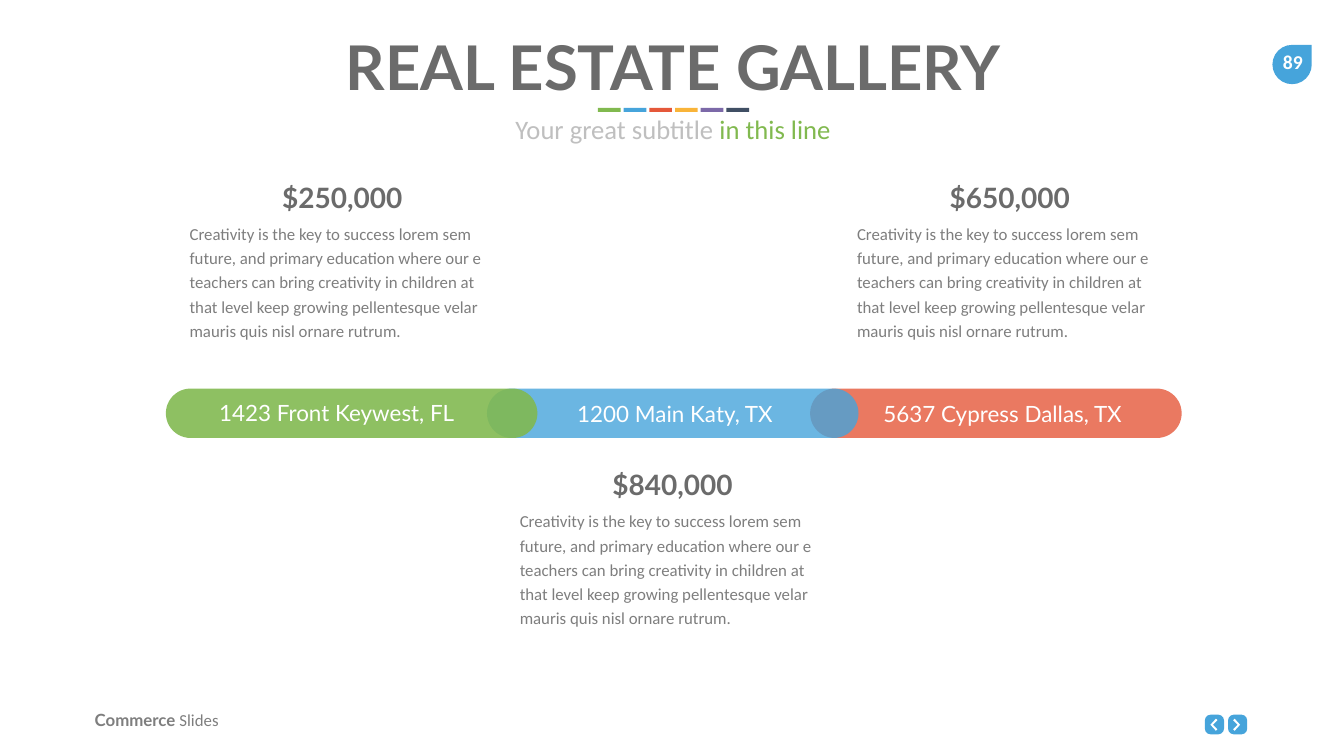
"""Builds the real estate gallery slide with three linked listings."""
from lxml import etree
from pptx import Presentation
from pptx.dml.color import RGBColor
from pptx.enum.shapes import MSO_SHAPE
from pptx.enum.text import MSO_ANCHOR, MSO_AUTO_SIZE, PP_ALIGN
from pptx.oxml.ns import qn
from pptx.util import Inches, Pt

RECT, ROUND, TEAR = MSO_SHAPE.RECTANGLE, MSO_SHAPE.ROUNDED_RECTANGLE, MSO_SHAPE.TEAR
LEFT, CENTER = PP_ALIGN.LEFT, PP_ALIGN.CENTER
TOP, MIDDLE = MSO_ANCHOR.TOP, MSO_ANCHOR.MIDDLE
GROW, FIXED = MSO_AUTO_SIZE.SHAPE_TO_FIT_TEXT, MSO_AUTO_SIZE.NONE


class Theme:
    green, blue, red = "81B94F", "46A4DB", "E5583A"
    gold, purple, navy = "F9B439", "7C69A8", "404F64"
    dark, gray, pale, white = "6B6B6B", "7E7E7E", "BFBFBF", "FFFFFF"
    head, body = "Lato", "Calibri"
    title, price, sub, label, page, copy = 88, 40, 38, 32, 28, 24


def paint(shape, color, alpha=100):
    shape.shadow.inherit = False
    shape.line.fill.background()
    shape.fill.solid()
    shape.fill.fore_color.rgb = RGBColor.from_string(color)
    if alpha < 100:
        tone = shape._element.spPr.find(".//" + qn("a:srgbClr"))
        etree.SubElement(tone, qn("a:alpha"), val=str(alpha * 1000))


def write(box, runs, align=CENTER, anchor=TOP, inset=(0.1, 0.05), wrap=True, size=GROW, space=None):
    frame = slide.shapes.add_textbox(*map(Inches, box)).text_frame
    frame.word_wrap, frame.auto_size, frame.vertical_anchor = wrap, size, anchor
    frame.margin_left = frame.margin_right = Inches(inset[0])
    frame.margin_top = frame.margin_bottom = Inches(inset[1])
    para = frame.paragraphs[0]
    para.alignment = align
    if space:
        para.line_spacing = space
    for words, points, face, color, bold in runs:
        run = para.add_run()
        run.text = words
        run.font.size, run.font.name, run.font.bold = Pt(points), face, bold
        run.font.color.rgb = RGBColor.from_string(color)


deck = Presentation()
deck.slide_width, deck.slide_height = Inches(26.66), Inches(15)
slide = deck.slides.add_slide(deck.slide_layouts[6])

for left, mid, way in ((23.9, 24.08, 1), (24.36, 24.53, -1)):
    key = slide.shapes.add_shape(ROUND, *map(Inches, (left, 14.18, 0.38, 0.39)))
    key.adjustments[0] = 0.3
    paint(key, Theme.blue)
    points = [(Inches(mid + way * x), Inches(14.38 + y)) for x, y in (
        (0.04, -0.12), (0.07, -0.09), (-0.02, 0), (0.07, 0.09), (0.04, 0.12), (-0.07, 0))]
    pen = slide.shapes.build_freeform(*points[0])
    pen.add_line_segments(points[1:])
    paint(pen.convert_to_shape(), Theme.white)

badge = slide.shapes.add_shape(TEAR, *map(Inches, (25.24, 0.89, 0.78, 0.78)))
paint(badge, Theme.blue)
write((25.21, 0.9, 0.87, 0.67), [("89", Theme.page, Theme.body, Theme.white, True)],
      inset=(0.2, 0.1), wrap=False)
write((1.78, 14.04, 4, 0.5), [("Commerce ", Theme.copy, Theme.head, Theme.gray, True),
                              ("Slides", Theme.copy, Theme.body, Theme.gray, False)], LEFT)

for left, color, alpha in ((16.07, Theme.red, 80), (9.66, Theme.blue, 80), (3.29, Theme.green, 89)):
    pill = slide.shapes.add_shape(ROUND, *map(Inches, (left, 7.71, 7.37, 0.98)))
    pill.adjustments[0] = 0.5
    paint(pill, color, alpha)

story = ("Creativity is the key to success lorem sem future, and primary education where our e "
         "teachers can bring creativity in children at that level keep growing pellentesque velar "
         "mauris quis nisl ornare rutrum.")
homes = (
    ("$250,000", 3.49, 3.58, "1423 Front Keywest, FL ", 3.34, 7.91),
    ("$840,000", 10.04, 9.28, "1200 Main Katy, TX", 10, 7.93),
    ("$650,000", 16.73, 3.58, "5637 Cypress Dallas, TX", 16.5, 7.93),
)
for price, left, top, place, start, level in homes:
    write((left, top + 0.64, 6.51, 2.68), [(story, Theme.copy, Theme.body, Theme.gray, False)],
          LEFT, MIDDLE, (0.27, 0.13), size=FIXED, space=1.2)
    write((left + 0.49, top, 5.62, 0.67), [(price, Theme.price, Theme.head, Theme.dark, True)],
          anchor=MIDDLE, inset=(0.27, 0))
    write((start, level, 6.78, 0.54), [(place, Theme.label, Theme.head, Theme.white, False)],
          anchor=MIDDLE, inset=(0.27, 0))

write((1.9, 0.53, 22.9, 1.58), [("REAL ESTATE GALLERY", Theme.title, Theme.head, Theme.dark, True)])
colors = (Theme.green, Theme.blue, Theme.red, Theme.gold, Theme.purple, Theme.navy)
for i, color in enumerate(colors):
    dash = slide.shapes.add_shape(RECT, *map(Inches, (11.86 + 0.51 * i, 2.14, 0.45, 0.08)))
    paint(dash, color)
write((1.9, 2.2, 22.9, 0.74), [("Your great subtitle ", Theme.sub, Theme.body, Theme.pale, False),
                               ("in this line", Theme.sub, Theme.body, Theme.green, False)])

deck.save("out.pptx")
